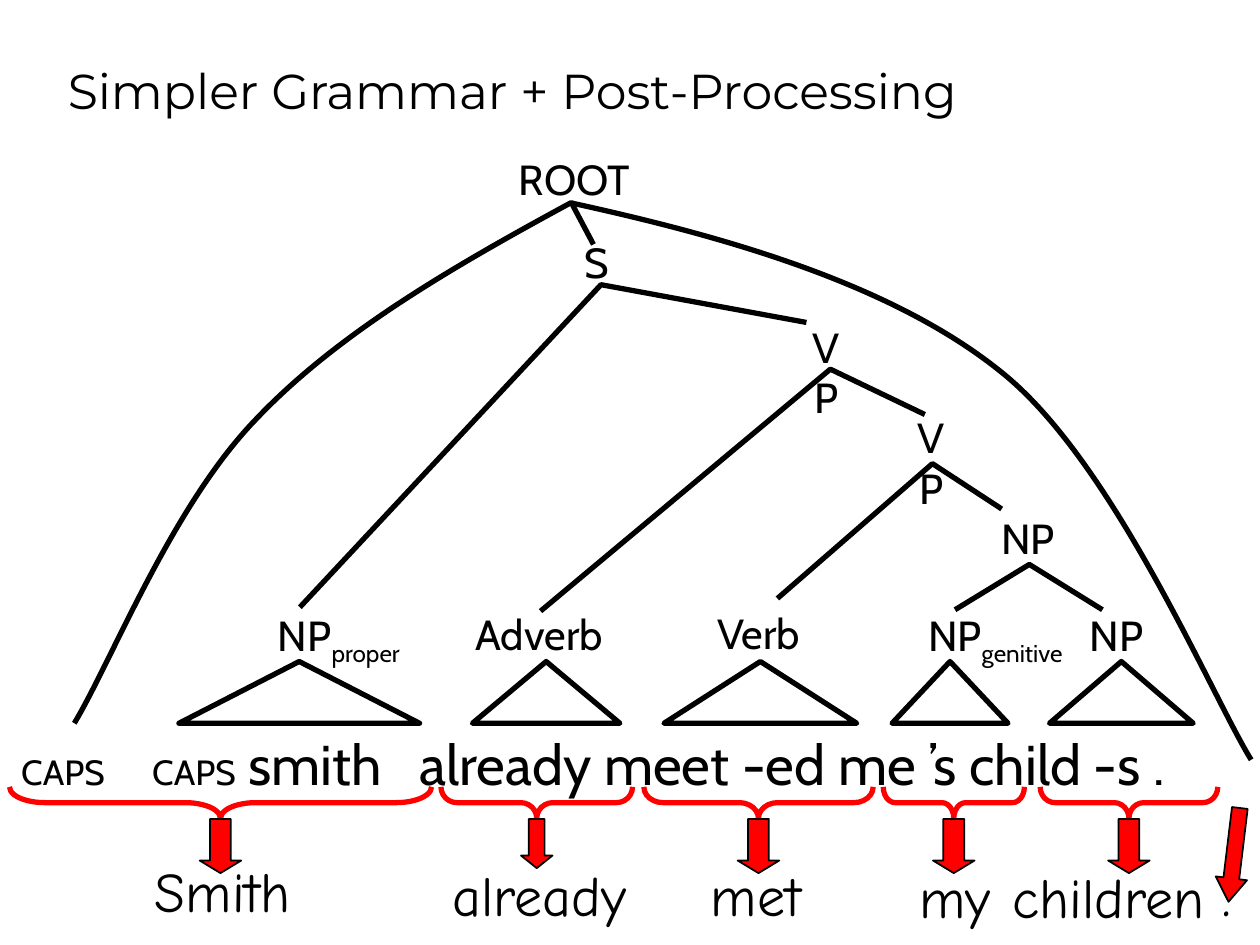
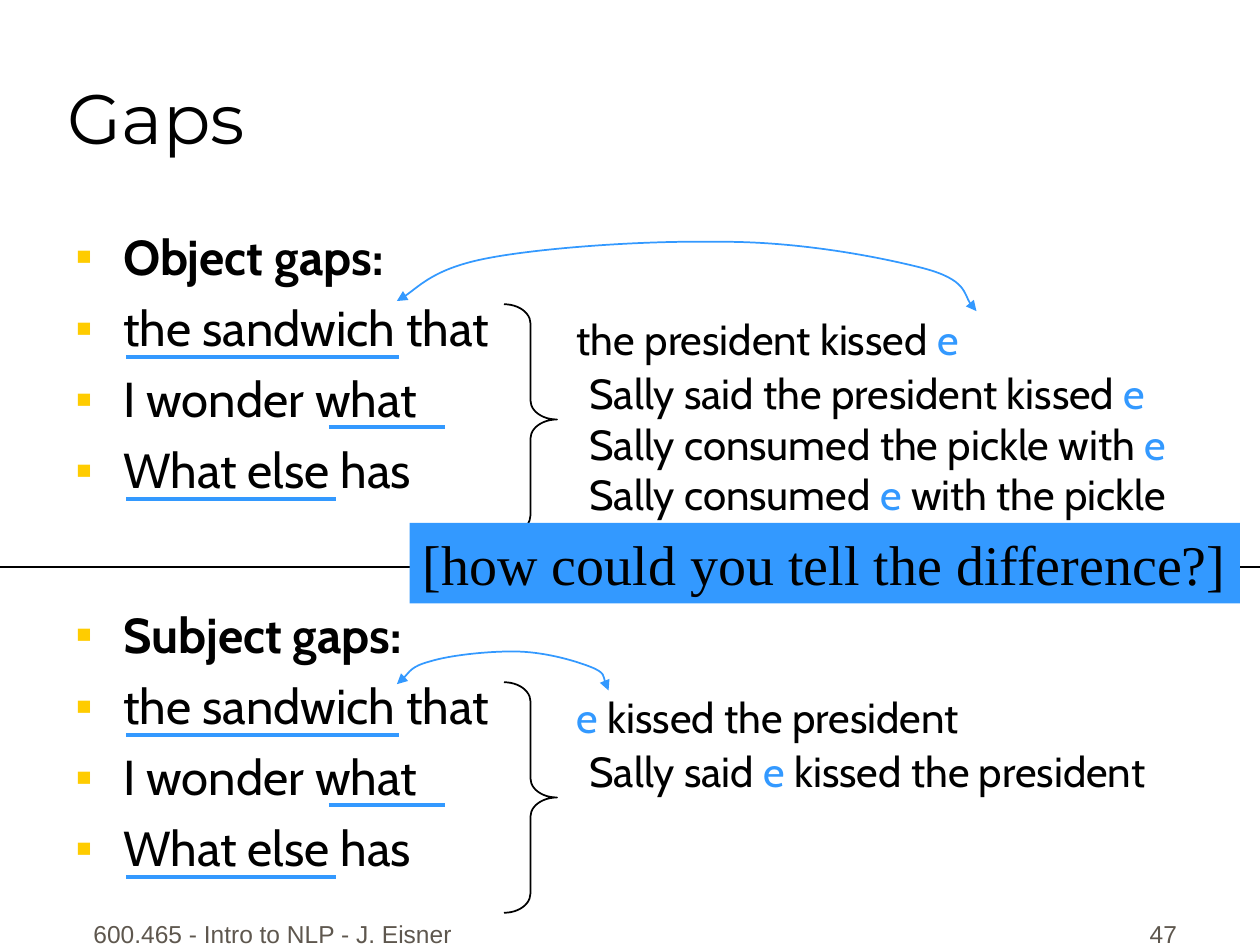
from lxml import etree
from pptx import Presentation
from pptx.dml.color import RGBColor
from pptx.enum.shapes import MSO_CONNECTOR, MSO_SHAPE
from pptx.enum.text import MSO_ANCHOR, PP_ALIGN
from pptx.oxml.ns import qn
from pptx.util import Inches, Pt

COLORS = {"ink": "000000", "red": "FF0000", "blue": "3399FF", "bullet": "FFCC00", "footer": "5E574E"}
TITLE_FONT, BODY_FONT, HAND_FONT = "Montserrat", "Cabin", "Comic Neue"
FOOTER_FONT, QUESTION_FONT = "Arial", "Times New Roman"
LABEL_WIDTH, STACKED_WIDTH = 2.2, 0.56

NODES = [
    ("ROOT", "", 4.56, 1.17), ("S", "", 4.74, 1.83), ("VP", "", 6.56, 2.5), ("VP", "", 7.39, 3.22),
    ("NP", "", 8.16, 4.02), ("NP", "proper", 2.69, 4.79), ("Adverb", "", 4.28, 4.78),
    ("Verb", "", 6.02, 4.77), ("NP", "genitive", 7.9, 4.79), ("NP", "", 8.86, 4.79),
]
BRANCHES = [
    [(6.4, 2.56), (4.77, 2.26), (2.38, 4.82)],
    [(7.34, 3.29), (6.59, 2.93), (4.29, 4.85)],
    [(7.95, 4.04), (7.4, 3.68), (6.17, 4.75)],
    [(7.58, 4.84), (8.17, 4.48), (8.75, 4.84)],
]
ROOT_ARC = [
    (9.93, 6.03), (9.62, 5.53), (8.86, 3.71), (7.98, 2.98), (7.1, 2.25), (5.72, 1.87), (4.53, 1.61),
    (3.59, 2.12), (2.67, 2.65), (2.02, 3.34), (1.36, 4.03), (0.89, 5.24), (0.59, 5.74),
]
TRIANGLES = [(1.42, 1.91), (3.75, 1.17), (5.27, 1.53), (7.08, 0.92), (8.33, 1.14)]
SENTENCE = [("CAPS\tCAPS", 20), (" smith\talready meet -ed me ’s child -s .", 32)]
SENTENCE_TABS = [1.04, 3.16]
OUTPUTS = [
    ("Smith", 1.77, 6.75, 1.75, 3.35, 0.33, 0.43),
    ("already", 4.28, 6.78, 4.26, 1.52, 0.25, 0.39),
    ("met", 6.0, 6.78, 6.02, 1.82, 0.33, 0.43),
    ("my", 7.58, 6.8, 7.57, 1.12, 0.33, 0.43),
    ("children", 8.8, 6.8, 8.96, 1.41, 0.33, 0.43),
]

FILLERS = ["the sandwich that", "I wonder what", "What else has"]
UNDERLINES = [(1, 3.17, 1.08), (2.61, 3.53, 1.64), (1, 2.67, 2.21)]
GAPS = [
    {"top": 1.75, "heading": "Object gaps:",
     "first": ["the president kissed ", "e"],
     "rest": [["Sally said the president kissed ", "e"],
              ["Sally consumed the pickle with ", "e"],
              ["Sally consumed ", "e", " with the pickle"]],
     "arc": [(3.15, 2.39), (3.27, 2.33), (3.45, 2.13), (3.87, 2.05), (4.28, 1.97), (5.09, 1.91),
             (5.66, 1.92), (6.32, 1.91), (6.98, 2.04), (7.33, 2.13), (7.67, 2.22), (7.66, 2.4),
             (7.75, 2.47)]},
    {"top": 4.75, "heading": "Subject gaps:",
     "first": ["e", " kissed the president"],
     "rest": [["Sally said ", "e", " kissed the president"]],
     "arc": [(3.15, 5.43), (3.2, 5.4), (3.26, 5.29), (3.41, 5.25), (3.57, 5.2), (3.86, 5.17),
             (4.07, 5.17), (4.31, 5.17), (4.55, 5.24), (4.68, 5.29), (4.81, 5.34), (4.8, 5.44),
             (4.83, 5.48)]},
]


def rgb(name):
    return RGBColor.from_string(COLORS[name])


def style_font(r, size, font=BODY_FONT, color="ink"):
    r.font.size, r.font.name = Pt(size), font
    r.font.color.rgb = rgb(color)


def add_text(slide, box, text, size, font=BODY_FONT, color="ink", align=PP_ALIGN.LEFT,
             anchor=MSO_ANCHOR.TOP):
    tf = slide.shapes.add_textbox(*map(Inches, box)).text_frame
    tf.word_wrap, tf.vertical_anchor, tf.text = True, anchor, text
    for p in tf.paragraphs:
        p.alignment = align
        for r in p.runs:
            style_font(r, size, font, color)
    return tf


def add_label(slide, text, center, top, size, font=BODY_FONT, width=LABEL_WIDTH):
    return add_text(slide, (center - width / 2, top, width, 0.5), text, size, font,
                    align=PP_ALIGN.CENTER)


def add_title(slide, text, size, bottom):
    add_text(slide, (0.44, bottom - 1.25, 8.5, 1.25), text, size, TITLE_FONT, anchor=MSO_ANCHOR.BOTTOM)


def outline(sp, color, width, fill=None):
    sp.shadow.inherit = False
    if fill:
        sp.fill.solid()
        sp.fill.fore_color.rgb = rgb(fill)
    else:
        sp.fill.background()
    sp.line.color.rgb, sp.line.width = rgb(color), Pt(width)
    return sp


def add_preset(slide, kind, box, color, width, fill=None):
    return outline(slide.shapes.add_shape(kind, *map(Inches, box)), color, width, fill)


def add_line(slide, x1, y1, x2, y2, color, width):
    line = slide.shapes.add_connector(MSO_CONNECTOR.STRAIGHT, *map(Inches, (x1, y1, x2, y2)))
    line.line.color.rgb, line.line.width = rgb(color), Pt(width)
    etree.SubElement(line._element.spPr, qn("a:effectLst"))


def add_path(slide, points, color, width, curved=False):
    start, *others = [(Inches(x), Inches(y)) for x, y in points]
    builder = slide.shapes.build_freeform(*start)
    builder.add_line_segments(others, close=False)
    sp = outline(builder.convert_to_shape(), color, width)
    if curved:
        segments = list(sp._element.iter(qn("a:lnTo")))
        for i in range(0, len(segments), 3):
            curve = etree.SubElement(segments[i].getparent(), qn("a:cubicBezTo"))
            for segment in segments[i:i + 3]:
                curve.append(segment[0])
                segment.getparent().remove(segment)
    return sp


def add_brace(slide, kind, center_x, center_y, depth, length, color, width):
    box = (center_x - depth / 2, center_y - length / 2, depth, length)
    sp = add_preset(slide, kind, box, color, width)
    sp.adjustments[0] = length / 12 / depth
    return sp


def add_down_arrow(slide, box, head):
    sp = add_preset(slide, MSO_SHAPE.DOWN_ARROW, box, "ink", 1, "red")
    sp.adjustments[1] = head
    return sp


def build_grammar(slide):
    add_title(slide, "Simpler Grammar + Post-Processing", 28, 1)

    p = add_text(slide, (0.07, 5.74, 9.9, 0.64), "", 32).paragraphs[0]
    tabs = etree.SubElement(p._p.get_or_add_pPr(), qn("a:tabLst"))
    for position in SENTENCE_TABS:
        etree.SubElement(tabs, qn("a:tab"), pos=str(Inches(position)), algn="l")
    for words, size in SENTENCE:
        r = p.add_run()
        r.text = words
        style_font(r, size)

    for name, subscript, center, top in NODES:
        width = STACKED_WIDTH if name == "VP" else LABEL_WIDTH
        tf = add_label(slide, name, center, top, 24, width=width)
        if subscript:
            r = tf.paragraphs[0].add_run()
            r.text = subscript
            style_font(r, 24)
            r._r.get_or_add_rPr().set("baseline", "-25000")

    for branch in BRANCHES:
        add_path(slide, branch, "ink", 3)
    add_line(slide, 4.53, 1.6, 4.71, 1.94, "ink", 3)
    add_path(slide, ROOT_ARC, "ink", 3, curved=True)
    for left, width in TRIANGLES:
        add_preset(slide, MSO_SHAPE.ISOSCELES_TRIANGLE, (left, 5.25, width, 0.49), "ink", 3)

    for word, center, top, mid, span, width, height in OUTPUTS:
        add_brace(slide, MSO_SHAPE.LEFT_BRACE, mid, 6.37, 0.25, span, "red", 3).rotation = 270
        add_down_arrow(slide, (mid - width / 2, 6.5, width, height), 0.1 / width)
        add_label(slide, word, center, top, 32, HAND_FONT)
    add_label(slide, ".", 9.74, 6.78, 32, HAND_FONT, width=0.4)
    add_down_arrow(slide, (9.67, 6.41, 0.25, 0.75), 0.75).rotation = 6.9


def add_bullets(slide, top, lines):
    tf = add_text(slide, (0.5, top, 9, 2.33), "\n".join(lines), 28)
    for i, p in enumerate(tf.paragraphs):
        pPr = p._p.get_or_add_pPr()
        pPr.set("marL", str(Inches(0.38)))
        pPr.set("indent", str(-Inches(0.38)))
        color = etree.SubElement(pPr, qn("a:buClr"))
        etree.SubElement(color, qn("a:srgbClr"), val=COLORS["bullet"])
        etree.SubElement(pPr, qn("a:buFont"), typeface="Arial")
        etree.SubElement(pPr, qn("a:buChar"), char="▪")
        p.space_before = Pt(7 if i else 0)
        p.runs[0].font.bold = i == 0


def add_clauses(slide, left, top, clauses):
    tf = add_text(slide, (left, top, 5.17, 0.5), "", 24)
    for i, clause in enumerate(clauses):
        p = tf.add_paragraph() if i else tf.paragraphs[0]
        for part in clause:
            r = p.add_run()
            r.text = part
            style_font(r, 24, color="blue" if part == "e" else "ink")


def add_footer(slide, left, width, text, align):
    add_text(slide, (left, 7.08, width, 0.5), text, 14, FOOTER_FONT, "footer", align, MSO_ANCHOR.BOTTOM)


def build_gaps(slide):
    add_footer(slide, 0.58, 3.17, "600.465 - Intro to NLP - J. Eisner", PP_ALIGN.CENTER)
    add_footer(slide, 7.36, 2.08, "47", PP_ALIGN.RIGHT)
    add_title(slide, "Gaps", 40, 1.31)

    for gap in GAPS:
        top = gap["top"]
        add_bullets(slide, top, [gap["heading"], *FILLERS])
        add_brace(slide, MSO_SHAPE.RIGHT_BRACE, 4.21, top + 1.58, 0.42, 1.83, "ink", 1)
        add_clauses(slide, 4.48, top + 0.69, [gap["first"]])
        add_clauses(slide, 4.58, top + 1.12, gap["rest"])
        for x1, x2, drop in UNDERLINES:
            add_line(slide, x1, top + drop, x2, top + drop, "blue", 2.25)
        ln = add_path(slide, gap["arc"], "blue", 1, curved=True).line._get_or_add_ln()
        for end in ("a:headEnd", "a:tailEnd"):
            etree.SubElement(ln, qn(end), type="triangle")

    add_line(slide, 0, 4.5, 10, 4.5, "ink", 1)
    box = add_preset(slide, MSO_SHAPE.RECTANGLE, (3.25, 4.15, 6.59, 0.64), "blue", 1, "blue")
    box.line.fill.background()
    tf = box.text_frame
    tf.word_wrap, tf.text = False, "[how could you tell the difference?]"
    tf.paragraphs[0].alignment = PP_ALIGN.CENTER
    style_font(tf.paragraphs[0].runs[0], 32, QUESTION_FONT)


def main():
    prs = Presentation()
    prs.slide_width, prs.slide_height = Inches(10), Inches(7.5)
    for build in (build_grammar, build_gaps):
        build(prs.slides.add_slide(prs.slide_layouts[6]))
    prs.save("out.pptx")


if __name__ == "__main__":
    main()
